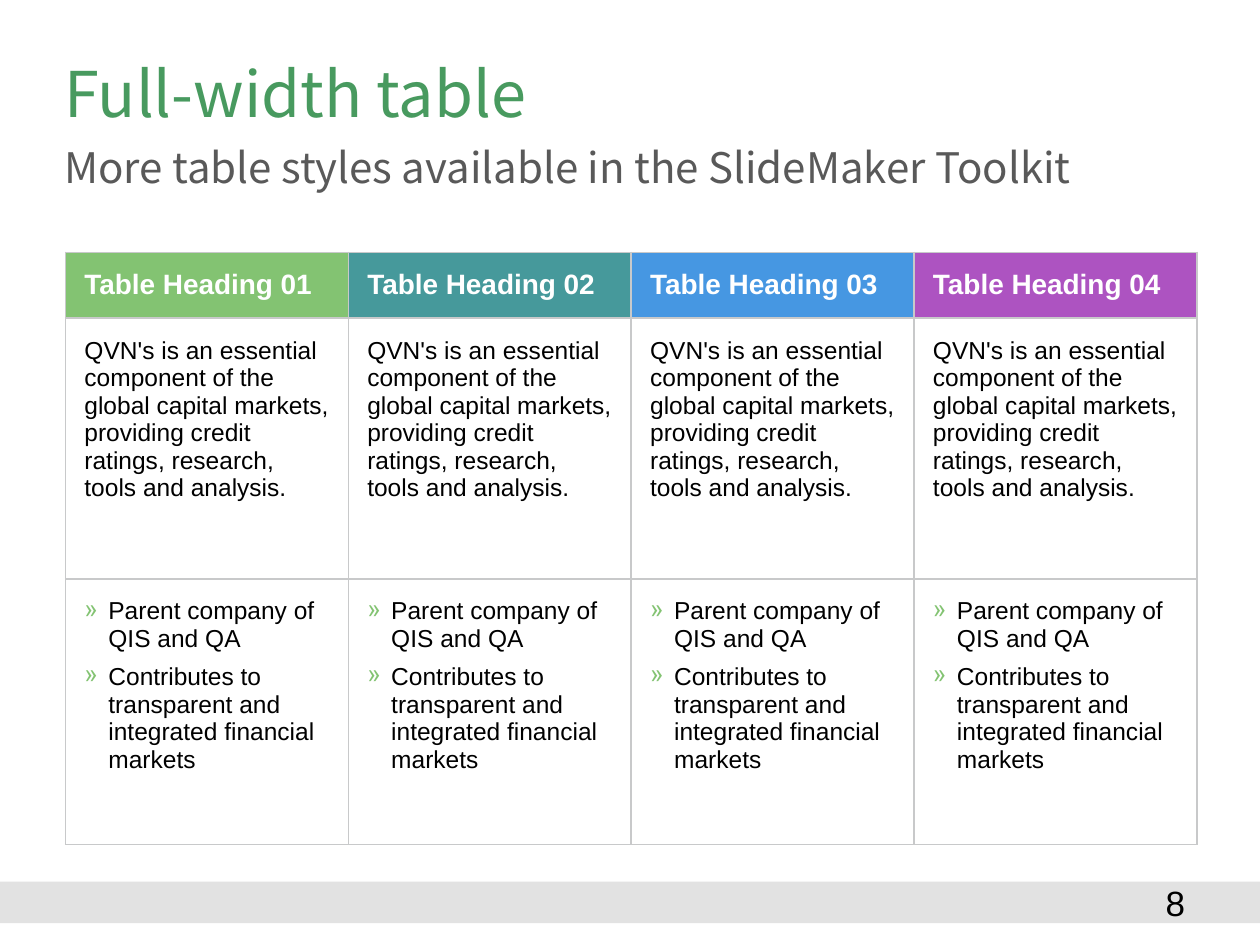
import pptx
import pptx.util
import pptx.dml.color
import pptx.enum.shapes
import pptx.enum.text
import pptx.oxml.ns
import lxml.etree

Inches, Pt = pptx.util.Inches, pptx.util.Pt
RGBColor = pptx.dml.color.RGBColor
MSO_ANCHOR = pptx.enum.text.MSO_ANCHOR
qn = pptx.oxml.ns.qn

WIDTH, HEIGHT = Inches(10), Inches(7.5)
WHITE = RGBColor(0xFF, 0xFF, 0xFF)
BLACK = RGBColor(0x00, 0x00, 0x00)
GREEN = RGBColor(0x48, 0x9A, 0x5F)
GREY = RGBColor(0x59, 0x59, 0x59)
BAND = RGBColor(0xE2, 0xE2, 0xE2)
BORDER = RGBColor(0xC8, 0xC9, 0xCA)
BULLET = RGBColor(0x83, 0xC3, 0x72)
HEADINGS = [BULLET, RGBColor(0x46, 0x99, 0x9B),
            RGBColor(0x46, 0x97, 0xE2), RGBColor(0xAD, 0x53, 0xC1)]
TITLE_FONT, BODY_FONT = "Noto Sans CJK SC", "Arial"
ROW_HEIGHTS = [0.52, 2.07, 2.11]
SUMMARY = ("QVN's is an essential component of the global capital markets, "
           "providing credit ratings, research, tools and analysis.")
POINTS = ["Parent company of QIS and QA",
          "Contributes to transparent and integrated financial markets"]


def share(left, top, width, height):
    """Turn shares of the slide into a box of lengths."""
    return (int(left * WIDTH), int(top * HEIGHT),
            int(width * WIDTH), int(height * HEIGHT))


def style(p, size, color, font=BODY_FONT, bold=False):
    """Format every run of a paragraph."""
    for r in p.runs:
        r.font.size, r.font.name, r.font.bold = Pt(size), font, bold
        r.font.color.rgb = color


def add_text(s, box, text, size, color, font, spacing=1.0, wrap=True):
    """Place one line of text in a box without margins."""
    tf = s.shapes.add_textbox(*box).text_frame
    tf.margin_left = tf.margin_top = tf.margin_right = tf.margin_bottom = 0
    tf.word_wrap = wrap
    tf.text = text
    p = tf.paragraphs[0]
    p.line_spacing = spacing
    style(p, size, color, font)


def add_header(s, box):
    """Place the title and the subtitle under it."""
    left, top, width, height = box
    add_text(s, (left, top, width, int(height * 0.53)),
             "Full-width table", 36, GREEN, TITLE_FONT, 0.9)
    add_text(s, (left, top + int(height * 0.58), width, int(height * 0.42)),
             "More table styles available in the SlideMaker Toolkit",
             24, GREY, TITLE_FONT, 0.9)


def set_borders(cell):
    """Draw a thin line on each side of a cell."""
    tcPr = cell._tc.get_or_add_tcPr()
    for i, side in enumerate(("a:lnL", "a:lnR", "a:lnT", "a:lnB")):
        ln = lxml.etree.Element(qn(side), w=str(Pt(1)))
        fill = lxml.etree.SubElement(ln, qn("a:solidFill"))
        lxml.etree.SubElement(fill, qn("a:srgbClr"), val=str(BORDER))
        tcPr.insert(i, ln)


def set_bullet(p):
    """Give a paragraph a coloured bullet and a hanging indent."""
    p.space_before = Pt(6)
    pPr = p._p.get_or_add_pPr()
    indent = Inches(0.19)
    pPr.set("marL", str(indent))
    pPr.set("indent", str(-indent))
    color = lxml.etree.SubElement(pPr, qn("a:buClr"))
    lxml.etree.SubElement(color, qn("a:srgbClr"), val=str(BULLET))
    lxml.etree.SubElement(pPr, qn("a:buChar"), char="»")


def fill_cell(cell, lines, fill, size, color, heading=False, bullets=False):
    """Write and format the content of one table cell."""
    cell.fill.solid()
    cell.fill.fore_color.rgb = fill
    cell.margin_left = cell.margin_right = Inches(0.15)
    cell.margin_top = cell.margin_bottom = Inches(0.05 if heading else 0.15)
    cell.vertical_anchor = MSO_ANCHOR.MIDDLE if heading else MSO_ANCHOR.TOP
    cell.text_frame.text = "\n".join(lines)
    for p in cell.text_frame.paragraphs:
        style(p, size, color, bold=heading)
        if bullets:
            set_bullet(p)
    set_borders(cell)


def add_columns(s, box):
    """Build the table with one coloured heading for each column."""
    left, top, width, height = box
    table = s.shapes.add_table(len(ROW_HEIGHTS), len(HEADINGS), *box).table
    for row, share_of_rows in zip(table.rows, ROW_HEIGHTS):
        row.height = int(height * share_of_rows / sum(ROW_HEIGHTS))
    for i, color in enumerate(HEADINGS):
        table.columns[i].width = width // len(HEADINGS)
        fill_cell(table.cell(0, i), [f"Table Heading {i + 1:02}"],
                  color, 16, WHITE, heading=True)
        fill_cell(table.cell(1, i), [SUMMARY], WHITE, 14, BLACK)
        fill_cell(table.cell(2, i), POINTS, WHITE, 14, BLACK, bullets=True)


def add_footer(s, box):
    """Draw the footer band with the page number."""
    left, top, width, height = box
    sp = s.shapes.add_shape(pptx.enum.shapes.MSO_SHAPE.RECTANGLE, *box)
    sp.shadow.inherit = False
    sp.fill.solid()
    sp.fill.fore_color.rgb = BAND
    sp.line.fill.background()
    add_text(s, (left + int(width * 0.925), top, int(width * 0.015), height),
             "8", 20, BLACK, BODY_FONT, wrap=False)


def main():
    """Build and save the slide."""
    prs = pptx.Presentation()
    prs.slide_width, prs.slide_height = WIDTH, HEIGHT
    s = prs.slides.add_slide(prs.slide_layouts[6])
    add_footer(s, share(0, 0.933, 1, 0.044))
    add_header(s, share(0.051, 0.067, 0.9, 0.153))
    add_columns(s, share(0.052, 0.267, 0.898, 0.627))
    prs.save("out.pptx")


if __name__ == "__main__":
    main()
